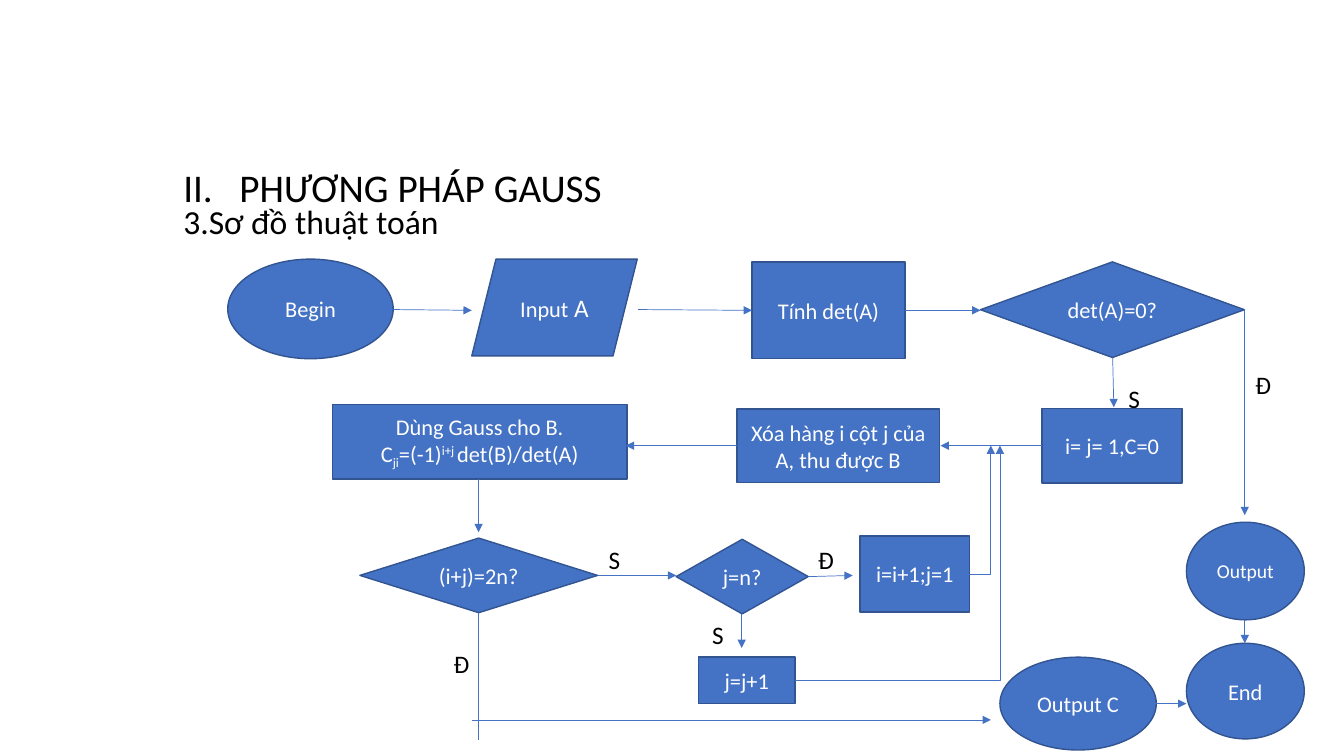
from lxml import etree
from pptx import Presentation
from pptx.dml.color import RGBColor
from pptx.enum.shapes import MSO_CONNECTOR, MSO_SHAPE
from pptx.enum.text import MSO_ANCHOR, MSO_AUTO_SIZE, PP_ALIGN
from pptx.oxml.ns import qn
from pptx.util import Cm, Pt

BLUE = RGBColor(0x44, 0x72, 0xC4)
NAVY = RGBColor(0x32, 0x54, 0x91)
WHITE = RGBColor(0xFF, 0xFF, 0xFF)
BLACK = RGBColor(0x00, 0x00, 0x00)
FONT = "Calibri"

OVAL = MSO_SHAPE.OVAL
INPUT = MSO_SHAPE.PARALLELOGRAM
PROCESS = MSO_SHAPE.RECTANGLE
DECISION = MSO_SHAPE.FLOWCHART_DECISION
STRAIGHT = MSO_CONNECTOR.STRAIGHT
ELBOW = MSO_CONNECTOR.ELBOW
CENTER = PP_ALIGN.CENTER
MIDDLE = MSO_ANCHOR.MIDDLE
GROW = MSO_AUTO_SIZE.SHAPE_TO_FIT_TEXT

NODES = [
    (OVAL, "Begin", 5.74, 6.53, 4.17, 2.51),
    (PROCESS, "Tính det(A)", 18.95, 6.6, 3.86, 2.44),
    (DECISION, "det(A)=0?", 24.71, 6.6, 6.65, 2.41),
    (PROCESS, "i= j= 1,C=0", 26.26, 10.29, 3.53, 1.88),
    (PROCESS, "Xóa hàng i cột j của A, thu được B", 18.57, 10.31, 5.11, 1.85),
    (DECISION, "(i+j)=2n?", 9.07, 13.56, 5.99, 1.88),
    (DECISION, "j=n?", 17.04, 13.59, 3.33, 1.88),
    (PROCESS, "i=i+1;j=1", 21.67, 13.51, 2.77, 1.91),
    (PROCESS, "j=j+1", 17.6, 16.56, 2.44, 1.17),
    (OVAL, "Output C", 25.2, 16.56, 3.94, 2.34),
    (OVAL, "End", 29.9, 16.21, 2.97, 2.41),
]
BRANCH_LABELS = [
    ("Đ", 31.39, 9.19, 1.14),
    ("S", 28.19, 9.53, 0.91),
    ("Đ", 11.18, 16.21, 1.14),
    ("S", 15.09, 13.59, 1.22),
    ("Đ", 20.37, 13.59, 0.74),
    ("S", 17.7, 15.47, 0.69),
]
ARROWS = [
    (9.91, 7.8, 11.89, 7.82),
    (16.08, 7.8, 18.95, 7.82),
    (22.81, 7.82, 24.71, 7.82),
    (31.37, 7.8, 31.37, 12.98),
    (28.04, 9.01, 28.07, 10.26),
    (26.26, 11.23, 23.7, 11.23),
    (18.57, 11.23, 15.77, 11.23),
    (12.06, 12.07, 12.06, 13.41),
    (11.89, 18.14, 24.97, 18.14),
    (15.06, 14.5, 17.04, 14.5),
    (20.37, 14.53, 21.49, 14.5),
    (18.69, 15.47, 18.69, 16.33),
    (29.11, 17.73, 29.9, 17.73),
    (31.37, 15.62, 31.37, 16.21),
]
LOOP_ARROWS = [(24.43, 14.48, 24.97, 11.23), (20.04, 17.15, 25.2, 11.23)]
COFACTOR = [("C", 0), ("ji", -25000), ("=(-1)", 0), ("i+j ", 30000), ("det(B)/det(A)", 0)]


def format_span(span, size, color):
    span.font.name = FONT
    span.font.size = Pt(size)
    span.font.color.rgb = color


def add_text(page, text, left, top, width, height, size, spacing=None):
    box = page.shapes.add_textbox(Cm(left), Cm(top), Cm(width), Cm(height))
    frame = box.text_frame
    frame.word_wrap = True
    frame.auto_size = GROW
    frame.text = text
    para = frame.paragraphs[0]
    para.line_spacing = spacing
    format_span(para.runs[0], size, BLACK)


def add_node(page, kind, text, left, top, width, height, size=16):
    node = page.shapes.add_shape(kind, Cm(left), Cm(top), Cm(width), Cm(height))
    node.shadow.inherit = False
    node.fill.solid()
    node.fill.fore_color.rgb = BLUE
    node.line.color.rgb = NAVY
    node.line.width = Pt(1)
    frame = node.text_frame
    frame.word_wrap = True
    frame.vertical_anchor = MIDDLE
    frame.text = text
    para = frame.paragraphs[0]
    para.alignment = CENTER
    format_span(para.runs[0], size, WHITE)
    return node


def append_span(para, text, size, baseline=0):
    span = para.add_run()
    span.text = text
    format_span(span, size, WHITE)
    if baseline:
        span.font._element.set("baseline", str(baseline))


def add_formula(node, parts):
    para = node.text_frame.add_paragraph()
    para.alignment = CENTER
    for text, baseline in parts:
        append_span(para, text, 16, baseline)


def add_line(page, ends, kind=STRAIGHT, arrow=True):
    line = page.shapes.add_connector(kind, *[Cm(value) for value in ends])
    line.line.color.rgb = BLUE
    line.line.width = Pt(0.5)
    if arrow:
        outline = line.line._get_or_add_ln()
        etree.SubElement(outline, qn("a:tailEnd"), type="triangle")
    properties = line._element.spPr
    etree.SubElement(properties, qn("a:effectLst"))
    if kind == ELBOW:
        properties.find(qn("a:prstGeom")).set("prst", "bentConnector2")


def main():
    deck = Presentation()
    deck.slide_width, deck.slide_height = Cm(33.87), Cm(19.05)
    page = deck.slides.add_slide(deck.slide_layouts[6])

    add_text(page, "II.   PHƯƠNG PHÁP GAUSS", 4.37, 2.21, 21.34, 2.72, 28, 2.5)
    add_text(page, "3.Sơ đồ thuật toán", 4.37, 4.93, 13.82, 1.27, 24)
    for text, left, top, width in BRANCH_LABELS:
        add_text(page, text, left, top, width, 1.03, 18)

    for node in NODES:
        add_node(page, *node)
    add_node(page, OVAL, "Output", 29.9, 13.16, 2.97, 2.46, size=14)
    matrix_input = add_node(page, INPUT, "Input", 11.89, 6.53, 4.17, 2.44)
    append_span(matrix_input.text_frame.paragraphs[0], " A", 18)
    gauss = add_node(page, PROCESS, "Dùng Gauss cho B.", 8.38, 10.19, 7.42, 1.88)
    add_formula(gauss, COFACTOR)

    for ends in ARROWS:
        add_line(page, ends)
    for ends in LOOP_ARROWS:
        add_line(page, ends, ELBOW)
    add_line(page, (12.06, 15.44, 12.06, 18.64), arrow=False)

    deck.save("out.pptx")


main()
